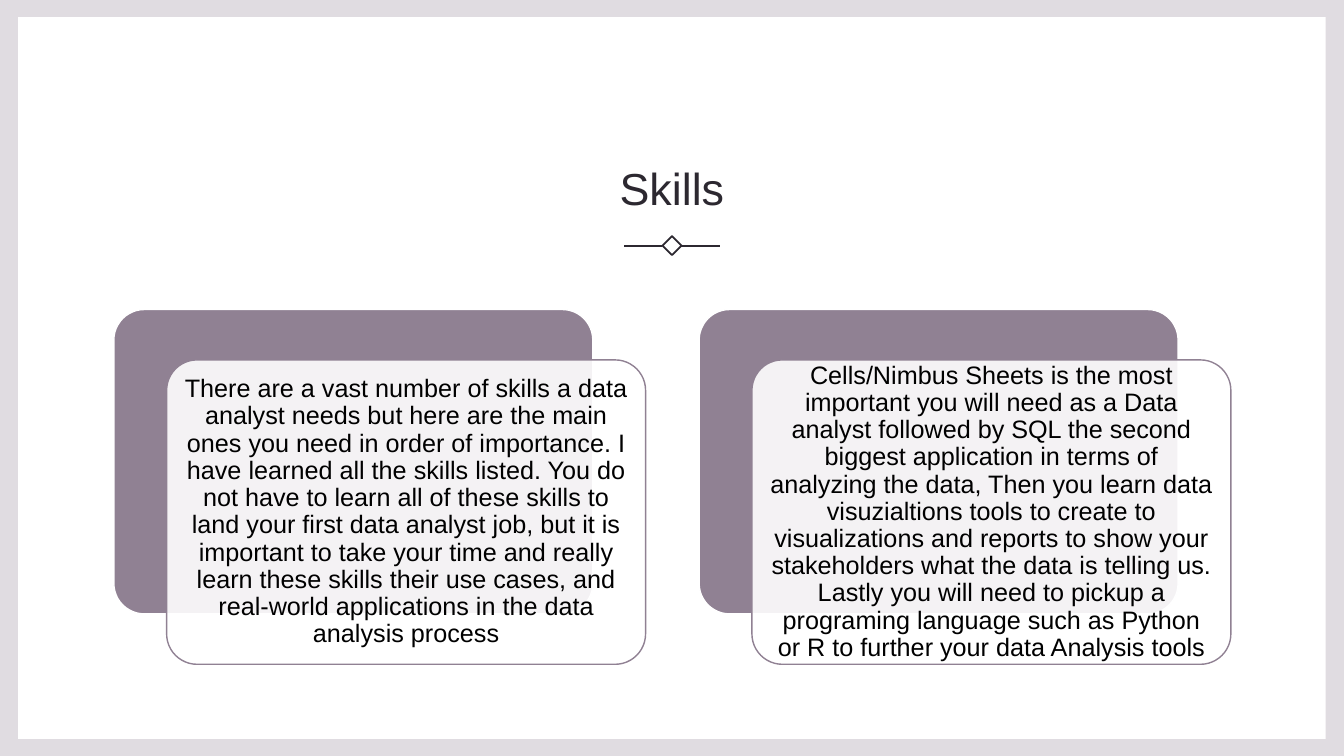
from lxml import etree
from pptx import Presentation
from pptx.dml.color import RGBColor
from pptx.enum.shapes import MSO_CONNECTOR, MSO_SHAPE
from pptx.enum.text import MSO_ANCHOR, MSO_AUTO_SIZE, PP_ALIGN
from pptx.oxml.ns import qn
from pptx.util import Cm, Pt

TITLE = "Skills"
CARDS = [
    "There are a vast number of skills a data analyst needs but here are the main "
    "ones you need in order of importance. I have learned all the skills listed. "
    "You do not have to learn all of these skills to land your first data analyst "
    "job, but it is important to take your time and really learn these skills their "
    "use cases, and real-world applications in the data analysis process",
    "Cells/Nimbus Sheets is the most important you will need as a Data analyst "
    "followed by SQL the second biggest application in terms of analyzing the data, "
    "Then you learn data visuzialtions tools to create to visualizations and reports "
    "to show your stakeholders what the data is telling us. Lastly you will need to "
    "pickup a programing language such as Python or R to further your data Analysis tools",
]

FONT = "Arial"
BACKDROP = RGBColor(0xF2, 0xF2, 0xF2)
FRAME = RGBColor(0xE0, 0xDC, 0xE1)
WHITE = RGBColor(0xFF, 0xFF, 0xFF)
BLACK = RGBColor(0x00, 0x00, 0x00)
INK = RGBColor(0x2C, 0x28, 0x30)
MAUVE = RGBColor(0x90, 0x81, 0x93)

# All lengths below are centimetres.
SLIDE_W, SLIDE_H = 33.87, 19.05
FRAME_X, FRAME_Y = 0.46, 0.43
MARGIN = 2.87
DIVIDER_Y, DIAMOND, ARM_START, ARM_END = 6.19, 0.34, 0.24, 1.2
CARD_TOP, CARD_W, CARD_H, CARD_PITCH = 7.8, 12.07, 7.67, 14.75
SHIFT_X, SHIFT_Y = 1.33, 1.27
TEXT_GAP, TEXT_INSET = 0.23, 0.18


def add_box(shapes, kind, left, top, width, height, fill=None, line=None, weight=1):
    box = shapes.add_shape(kind, Cm(left), Cm(top), Cm(width), Cm(height))
    box.shadow.inherit = False
    if fill is None:
        box.fill.background()
    else:
        box.fill.solid()
        box.fill.fore_color.rgb = fill
    if line is None:
        box.line.fill.background()
    else:
        box.line.color.rgb = line
        box.line.width = Pt(weight)
    return box


def write(frame, text, size, color, spacing, anchor):
    frame.word_wrap = True
    frame.auto_size = MSO_AUTO_SIZE.NONE
    frame.vertical_anchor = anchor
    para = frame.paragraphs[0]
    para.alignment = PP_ALIGN.CENTER
    para.line_spacing = spacing
    span = para.add_run()
    span.text = text
    span.font.name = FONT
    span.font.size = Pt(size)
    span.font.color.rgb = color


def add_divider(page):
    shapes = page.shapes.add_group_shape().shapes
    center = SLIDE_W / 2
    diamond = add_box(shapes, MSO_SHAPE.RECTANGLE, center - DIAMOND / 2,
                      DIVIDER_Y - DIAMOND / 2, DIAMOND, DIAMOND, line=INK, weight=1.25)
    diamond.rotation = 45
    for side in (1, -1):
        ends = sorted((center + side * ARM_START, center + side * ARM_END))
        arm = shapes.add_connector(MSO_CONNECTOR.STRAIGHT, Cm(ends[0]), Cm(DIVIDER_Y),
                                   Cm(ends[1]), Cm(DIVIDER_Y))
        arm.line.color.rgb = INK
        arm.line.width = Pt(1.25)
        etree.SubElement(arm.element.spPr, qn("a:effectLst"))


def add_card(shapes, left, text):
    """Draw a mauve plate with a nearly opaque white text card shifted over it."""
    front_left, front_top = left + SHIFT_X, CARD_TOP + SHIFT_Y
    plate = add_box(shapes, MSO_SHAPE.ROUNDED_RECTANGLE, left, CARD_TOP,
                    CARD_W, CARD_H, MAUVE, WHITE)
    front = add_box(shapes, MSO_SHAPE.ROUNDED_RECTANGLE, front_left, front_top,
                    CARD_W, CARD_H, WHITE, MAUVE)
    for box in (plate, front):
        box.adjustments[0] = 0.1
    color = front.element.spPr.find(qn("a:solidFill")).find(qn("a:srgbClr"))
    etree.SubElement(color, qn("a:alpha")).set("val", "90000")

    label = shapes.add_textbox(Cm(front_left + TEXT_GAP), Cm(front_top + TEXT_GAP),
                               Cm(CARD_W - 2 * TEXT_GAP), Cm(CARD_H - 2 * TEXT_GAP))
    frame = label.text_frame
    frame.margin_left = frame.margin_right = Cm(TEXT_INSET)
    frame.margin_top = frame.margin_bottom = Cm(TEXT_INSET)
    write(frame, text, 18, BLACK, 0.9, MSO_ANCHOR.MIDDLE)


def main():
    deck = Presentation()
    deck.slide_width, deck.slide_height = Cm(SLIDE_W), Cm(SLIDE_H)
    page = deck.slides.add_slide(deck.slide_layouts[5])
    page.background.fill.solid()
    page.background.fill.fore_color.rgb = BACKDROP

    add_box(page.shapes, MSO_SHAPE.RECTANGLE, 0, 0, SLIDE_W, SLIDE_H, FRAME)
    add_box(page.shapes, MSO_SHAPE.RECTANGLE, FRAME_X, FRAME_Y,
            SLIDE_W - 2 * FRAME_X, SLIDE_H - 2 * FRAME_Y, WHITE)

    title = page.shapes.title
    title.element.getparent().append(title.element)  # bring above the white panel
    title.left, title.top = Cm(MARGIN), Cm(2.67)
    title.width, title.height = Cm(SLIDE_W - 2 * MARGIN), Cm(2.87)
    write(title.text_frame, TITLE, 32, INK, 1.1, MSO_ANCHOR.BOTTOM)

    add_divider(page)
    cards = page.shapes.add_group_shape().shapes
    for index, text in enumerate(CARDS):
        add_card(cards, MARGIN + index * CARD_PITCH, text)
    deck.save("out.pptx")


if __name__ == "__main__":
    main()
